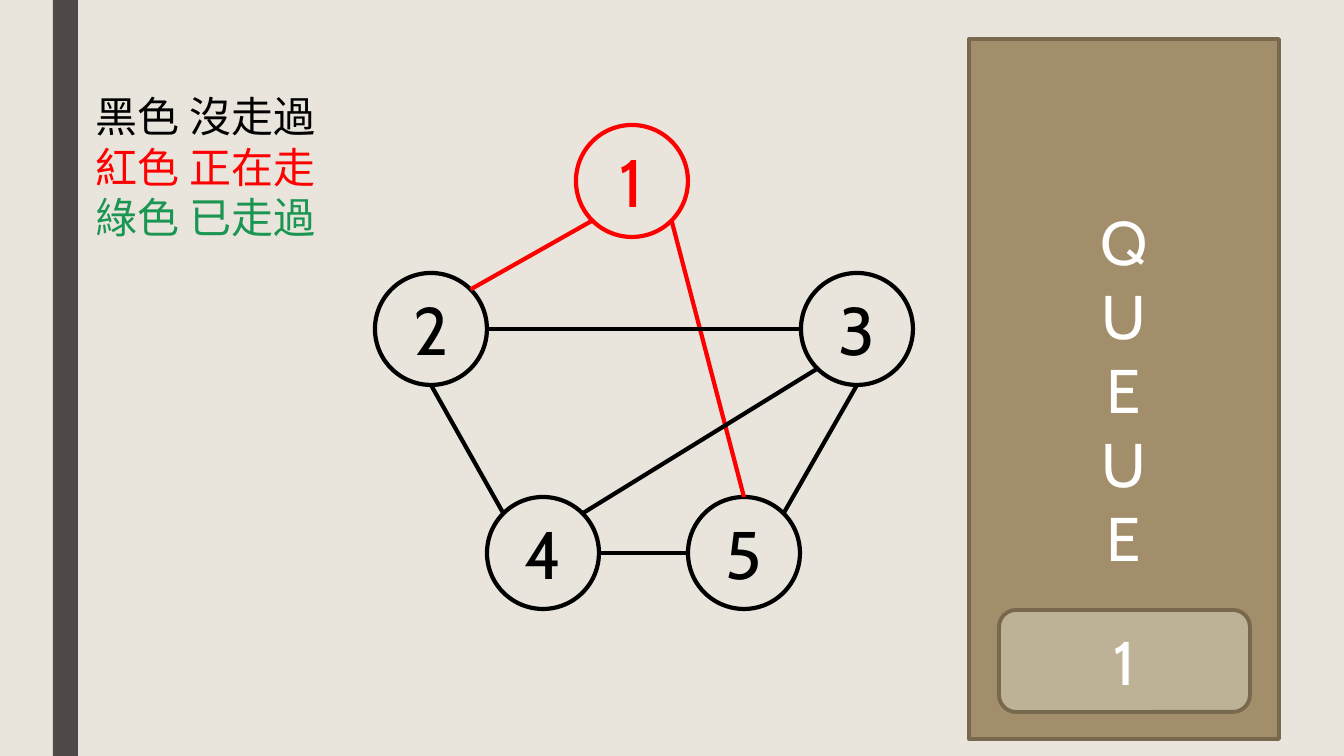
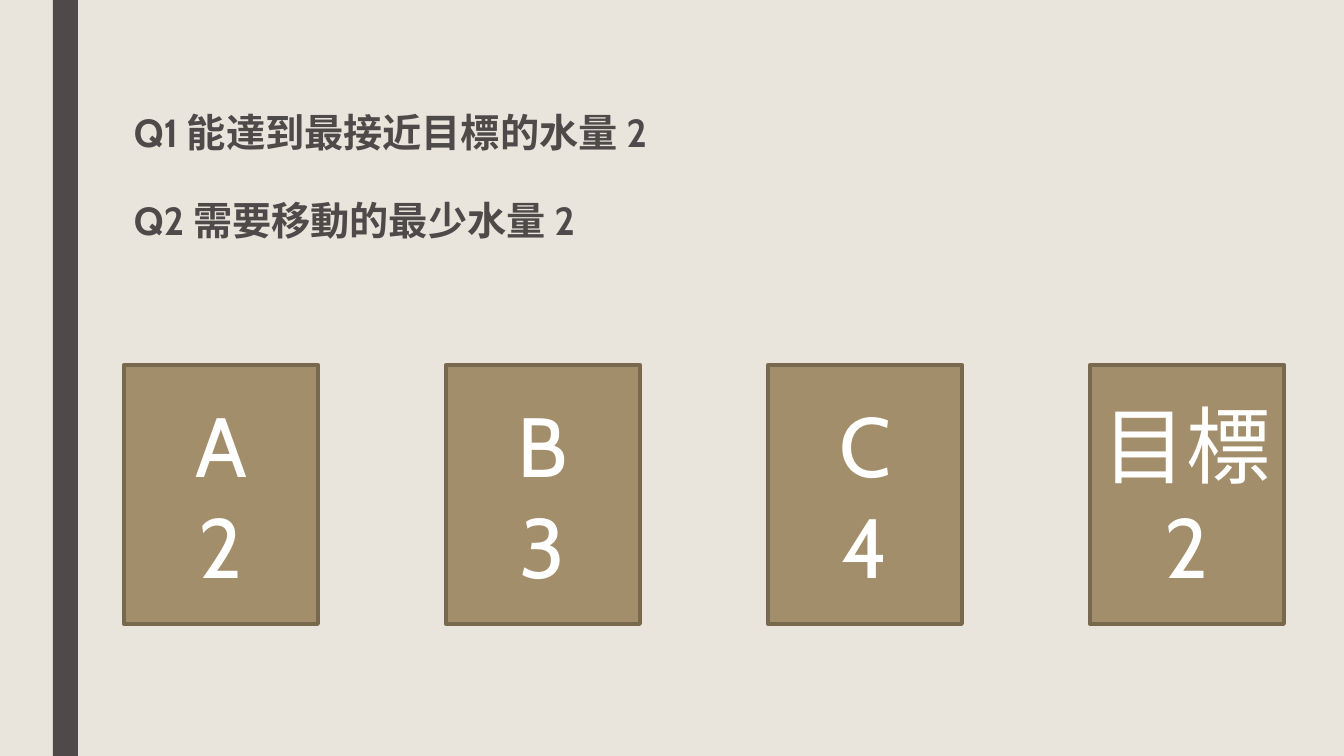
"""Build two slides on graph search and water pouring."""
import math

from lxml import etree
from pptx import Presentation
from pptx.dml.color import RGBColor
from pptx.enum.shapes import MSO_CONNECTOR, MSO_SHAPE
from pptx.enum.text import MSO_ANCHOR, PP_ALIGN
from pptx.oxml.ns import qn
from pptx.util import Emu, Pt

RECTANGLE, ROUNDED, OVAL = MSO_SHAPE.RECTANGLE, MSO_SHAPE.ROUNDED_RECTANGLE, MSO_SHAPE.OVAL
STRAIGHT = MSO_CONNECTOR.STRAIGHT
MIDDLE, TOP = MSO_ANCHOR.MIDDLE, MSO_ANCHOR.TOP
CENTER, LEFT = PP_ALIGN.CENTER, PP_ALIGN.LEFT

FONT = "Cabin"
CREAM = RGBColor(0xE9, 0xE5, 0xDC)
CHARCOAL = RGBColor(0x4E, 0x4A, 0x4A)
BROWN = RGBColor(0xA2, 0x8E, 0x6A)
DARK_BROWN = RGBColor(0x78, 0x69, 0x4E)
SAND = RGBColor(0xBD, 0xB1, 0x96)
BLACK = RGBColor(0, 0, 0)
WHITE = RGBColor(0xFF, 0xFF, 0xFF)
RED = RGBColor(0xFF, 0, 0)
GREEN = RGBColor(0x1A, 0x96, 0x52)

SLIDE_WIDTH, SLIDE_HEIGHT = 1344, 756
EMU_PER_PX = 914400 / 100.8
RADIUS = 56
BORDER, STROKE = 2.75, 3

LEGEND = [("黑色 沒走過", BLACK), ("紅色 正在走", RED), ("綠色 已走過", GREEN)]
NODES = {
    "1": (632, 181, RED),
    "2": (431, 329, BLACK),
    "3": (857, 329, BLACK),
    "4": (543, 553, BLACK),
    "5": (744, 553, BLACK),
}
ANGLES = {
    "right": 0, "bottom right": 45, "bottom": 90, "bottom left": 135,
    "left": 180, "top left": 225, "top": 270, "top right": 315,
}
EDGES = [
    ("1", "bottom left", "2", "top right", RED),
    ("1", "bottom right", "5", "top", RED),
    ("2", "bottom", "4", "top left", BLACK),
    ("4", "right", "5", "left", BLACK),
    ("3", "bottom", "5", "top right", BLACK),
    ("2", "right", "3", "left", BLACK),
    ("3", "bottom left", "4", "top right", BLACK),
]
QUEUE_ITEM = "1"
QUESTIONS = ["Q1 能達到最接近目標的水量 2", "Q2 需要移動的最少水量 2"]
BUCKETS = [("A", "2"), ("B", "3"), ("C", "4"), ("目標", "2")]
BUCKET_LEFT, BUCKET_STEP = 124, 322


def px(length):
    return Emu(round(length * EMU_PER_PX))


def write(shape, lines, *, size, color=WHITE, bold=False, align=CENTER,
          anchor=MIDDLE, spacing=None, before=0, after=0):
    frame = shape.text_frame
    frame.word_wrap = True
    frame.vertical_anchor = anchor
    for index, line in enumerate(lines):
        text, line_color = line if isinstance(line, tuple) else (line, color)
        paragraph = frame.add_paragraph() if index else frame.paragraphs[0]
        paragraph.alignment = align
        paragraph.line_spacing = spacing
        paragraph.space_before = Pt(before if index else 0)
        paragraph.space_after = Pt(after)
        run = paragraph.add_run()
        run.text = text
        run.font.name = FONT
        run.font.size = Pt(size)
        run.font.bold = bold
        run.font.color.rgb = line_color


def add_box(slide, kind, box, *, fill=None, line=None, width=BORDER):
    shape = slide.shapes.add_shape(kind, *map(px, box))
    shape.shadow.inherit = False
    if fill is None:
        shape.fill.background()
    else:
        shape.fill.solid()
        shape.fill.fore_color.rgb = fill
    if line is None:
        shape.line.fill.background()
    else:
        shape.line.color.rgb = line
        shape.line.width = Pt(width)
    return shape


def add_text(slide, box, lines, **text_format):
    write(slide.shapes.add_textbox(*map(px, box)), lines,
          align=LEFT, anchor=TOP, **text_format)


def rim_point(node, side):
    x, y, _ = NODES[node]
    angle = math.radians(ANGLES[side])
    return px(x + RADIUS * math.cos(angle)), px(y + RADIUS * math.sin(angle))


def add_edge(slide, start, start_side, end, end_side, color):
    connector = slide.shapes.add_connector(
        STRAIGHT, *rim_point(start, start_side), *rim_point(end, end_side))
    connector.line.color.rgb = color
    connector.line.width = Pt(STROKE)
    etree.SubElement(connector._element.spPr, qn("a:effectLst"))


def style_master(presentation, slide):
    master = presentation.slide_master
    master.background.fill.solid()
    master.background.fill.fore_color.rgb = CREAM
    band = add_box(slide, RECTANGLE, (53, 0, 25, SLIDE_HEIGHT), fill=CHARCOAL)
    master.shapes._spTree.append(band._element)


def build_graph(slide):
    for label, (x, y, color) in NODES.items():
        circle = add_box(slide, OVAL, (x - RADIUS, y - RADIUS, 2 * RADIUS, 2 * RADIUS),
                         line=color, width=STROKE)
        write(circle, [label], size=48, color=color)
    for edge in EDGES:
        add_edge(slide, *edge)
    add_text(slide, (86, 86, 272, 163), LEGEND, size=30)
    queue = add_box(slide, RECTANGLE, (969, 39, 310, 700), fill=BROWN, line=DARK_BROWN)
    write(queue, list("QUEUE"), size=44)
    item = add_box(slide, ROUNDED, (999, 610, 251, 102), fill=SAND, line=DARK_BROWN)
    write(item, [QUEUE_ITEM], size=44)


def build_buckets(slide):
    for index, lines in enumerate(BUCKETS):
        box = (BUCKET_LEFT + index * BUCKET_STEP, 365, 194, 259)
        bucket = add_box(slide, RECTANGLE, box, fill=BROWN, line=DARK_BROWN)
        write(bucket, lines, size=60)
    add_text(slide, (124, 80, 672, 161), QUESTIONS, size=28, color=CHARCOAL,
             bold=True, spacing=1.5, before=10, after=2)


def main():
    presentation = Presentation()
    presentation.slide_width = px(SLIDE_WIDTH)
    presentation.slide_height = px(SLIDE_HEIGHT)
    blank = presentation.slide_layouts[6]
    graph_slide, bucket_slide = [presentation.slides.add_slide(blank) for _ in range(2)]
    style_master(presentation, graph_slide)
    build_graph(graph_slide)
    build_buckets(bucket_slide)
    presentation.save("out.pptx")


if __name__ == "__main__":
    main()
